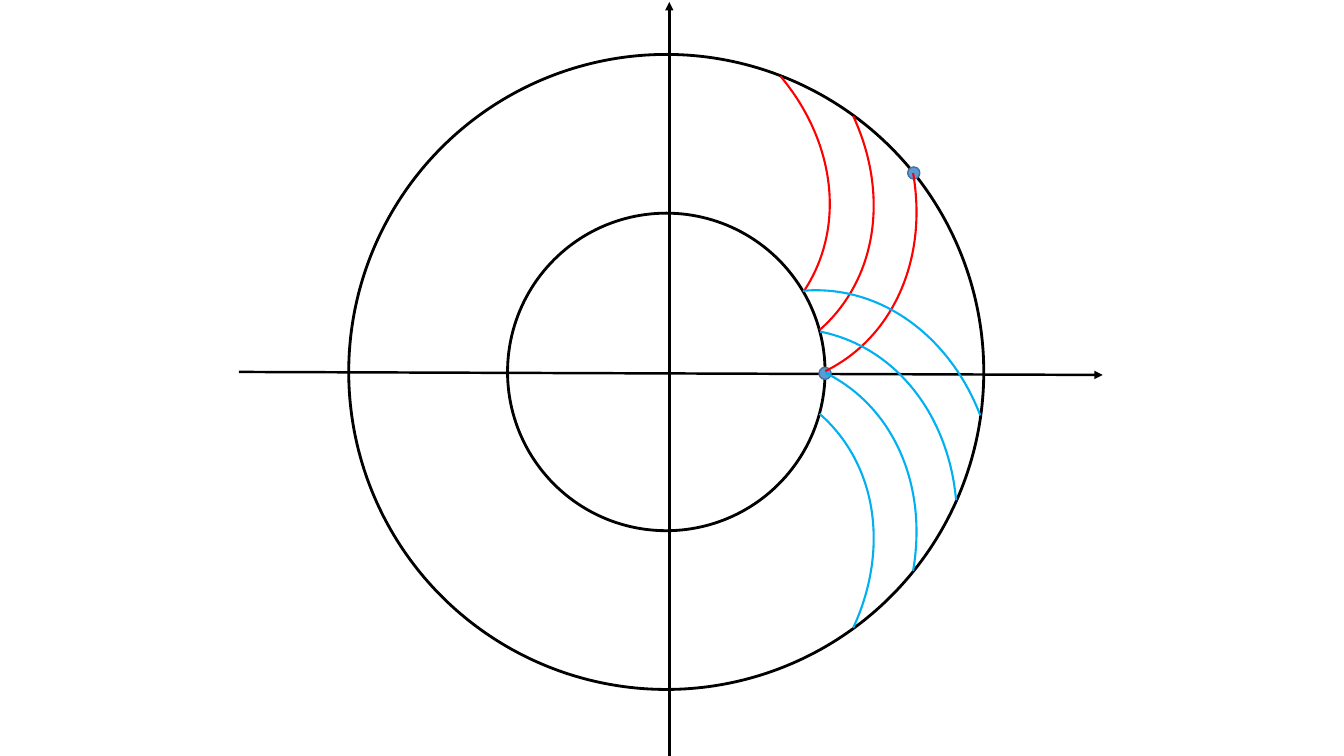
from math import cos, radians, sin

from lxml import etree
from pptx import Presentation
from pptx.dml.color import RGBColor
from pptx.enum.shapes import MSO_CONNECTOR, MSO_SHAPE
from pptx.oxml.ns import qn
from pptx.util import Inches, Pt

OVAL, ARC = MSO_SHAPE.OVAL, MSO_SHAPE.ARC
LINE = MSO_CONNECTOR.STRAIGHT

COLORS = {
    "ink": "000000",
    "dot": "5B9BD5",
    "rim": "43739E",
    "red": "FF0000",
    "blue": "00B0F0",
}

# Grid of 160 columns by 90 rows
COLS, ROWS = 160, 90
MID = (79.32, 44.28)
OUTER, INNER = 37.8, 18.9
ORBIT = 23.8            # distance of the arc centres from the ring centre
ARC_SIZE = (51, 43)
ARC_SPAN = (179.105, 2.096)


def polar(dist, angle):
    """Point at a distance and angle from the ring centre."""
    turn = radians(angle)
    return MID[0] + dist * cos(turn), MID[1] + dist * sin(turn)


class Plot:
    def __init__(self, deck):
        self.slide = deck.slides.add_slide(deck.slide_layouts[6])
        self.col = deck.slide_width / COLS
        self.row = deck.slide_height / ROWS

    def place(self, x, y):
        return round(x * self.col), round(y * self.row)

    def pen(self, item, color, width):
        item.line.color.rgb = RGBColor.from_string(COLORS[color])
        item.line.width = Pt(width)

    def shape(self, kind, mid, size, color, width, fill=None):
        (x, y), (w, h) = mid, size
        item = self.slide.shapes.add_shape(
            kind, *self.place(x - w / 2, y - h / 2), *self.place(w, h))
        item.shadow.inherit = False
        if fill:
            item.fill.solid()
            item.fill.fore_color.rgb = RGBColor.from_string(COLORS[fill])
        else:
            item.fill.background()
        self.pen(item, color, width)
        return item

    def ring(self, radius):
        self.shape(OVAL, MID, (2 * radius, 2 * radius), "ink", 2)

    def dot(self, dist, angle):
        self.shape(OVAL, polar(dist, angle), (1.44, 1.44), "rim", 1, "dot")

    def arc(self, turn, lag, color, flip=False):
        item = self.shape(ARC, polar(ORBIT, turn - lag), ARC_SIZE, color, 1.5)
        item.adjustments[0], item.adjustments[1] = ARC_SPAN
        item.rotation = turn
        if flip:
            item._element.spPr.find(qn("a:xfrm")).set("flipV", "1")

    def axis(self, start, end):
        item = self.slide.shapes.add_connector(
            LINE, *self.place(*start), *self.place(*end))
        self.pen(item, "ink", 1.75)
        etree.SubElement(item.line._get_or_add_ln(), qn("a:tailEnd"),
                         type="triangle")
        etree.SubElement(item._element.spPr, qn("a:effectLst"))


def main():
    deck = Presentation()
    deck.slide_width, deck.slide_height = Inches(13.333), Inches(7.5)
    plot = Plot(deck)

    # Rings
    for radius in (OUTER, INNER):
        plot.ring(radius)

    # Axes
    plot.axis((28.44, 44.28), (131.28, 44.64))
    plot.axis((79.68, ROWS), (79.68, 0.24))

    # Marked points
    plot.dot(INNER, 0.5)
    plot.dot(OUTER, -38.8)

    # Two fans of arcs, turned about the ring centre
    for turn in (59, 29, 44):
        plot.arc(turn, 131.5, "red")
    for turn in (301, 316, 286, 270):
        plot.arc(turn, 228.5, "blue", flip=True)

    deck.save("out.pptx")


if __name__ == "__main__":
    main()
